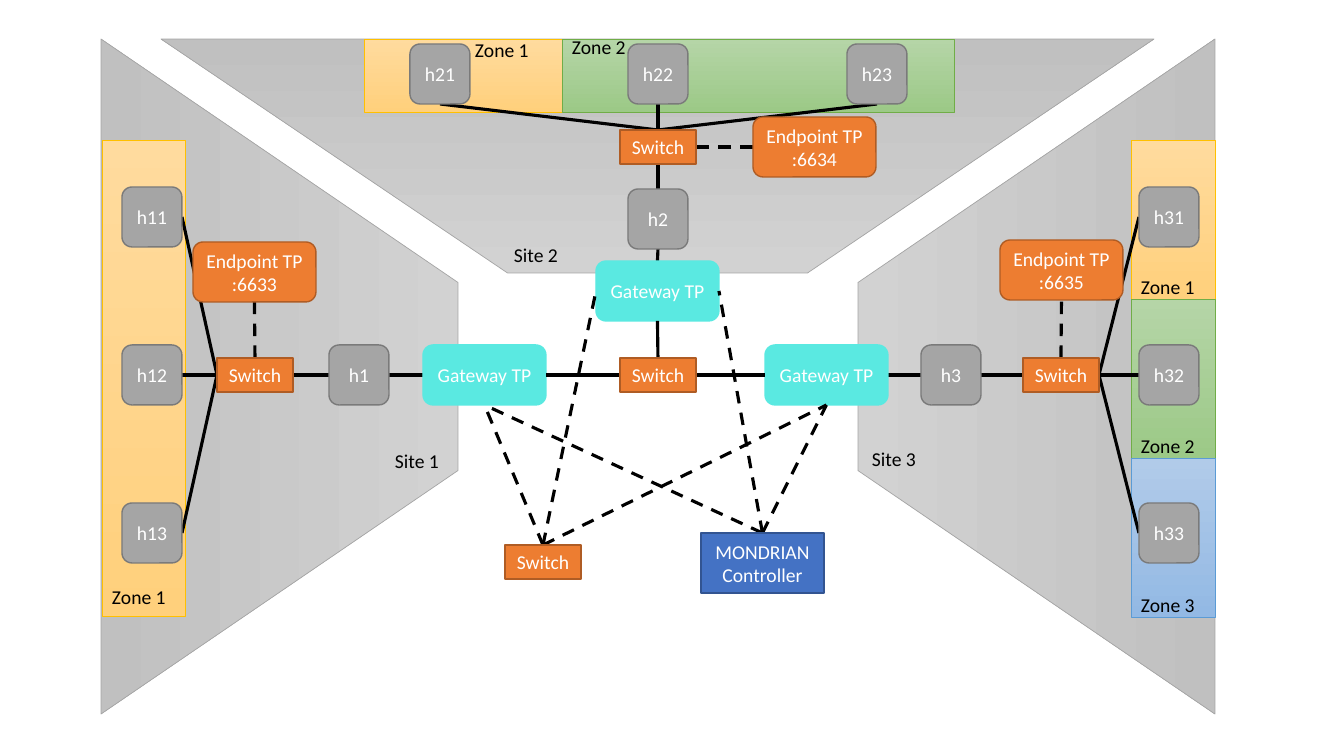
from pptx import Presentation
from pptx.dml.color import RGBColor as Rgb
from pptx.enum.dml import MSO_LINE as Dash
from pptx.enum.shapes import MSO_CONNECTOR as Conn, MSO_SHAPE as Kind
from pptx.enum.text import MSO_ANCHOR as Anchor, PP_ALIGN as Align
from pptx.oxml.ns import qn
from pptx.util import Pt
from lxml.etree import SubElement

UNIT = 914400 / 100.8
HUES = {"black": "000000", "white": "FFFFFF"}
# fill and line of each plain node, with its shape and size
NODES = {
    "host": ("A5A5A5", "7A7A7A", Kind.ROUNDED_RECTANGLE, 60, 60),
    "gate": ("5AE9E1", "5AE9E1", Kind.ROUNDED_RECTANGLE, 123, 60),
    "end": ("ED7D31", "AF5C24", Kind.ROUNDED_RECTANGLE, 123, 60),
    "switch": ("ED7D31", "AF5C24", Kind.RECTANGLE, 76, 34),
    "ctrl": ("4472C4", "325491", Kind.RECTANGLE, 123, 60),
}
# first stop, last stop and line of each shaded area
SHADES = {
    "grey": ("D2D2D2", "C0C0C0", "A5A5A5"),
    "gold": ("FFDB9E", "FFD07C", "FFC000"),
    "green": ("B5D5A7", "9CC987", "70AD47"),
    "blue": ("B1CBE9", "93B9E4", "5B9BD5"),
}
LEFT, RIGHT, TOP, LOW = (0, .5), (1, .5), (.5, 0), (.5, 1)

deck = Presentation()
deck.slide_width, deck.slide_height = round(1344 * UNIT), round(756 * UNIT)
shapes = deck.slides.add_slide(deck.slide_layouts[6]).shapes


def px(*vals):
    """Turn pixels into EMU."""
    return [round(v * UNIT) for v in vals]


def at(box, side):
    """Give the point of a box at a share of its width and height."""
    x, y, w, h = box
    return x + w * side[0], y + h * side[1]


def spot(kind, x, y):
    """Give the box of a node kind from its top left corner."""
    return (x, y, *NODES[kind][3:])


def write(shape, text, hue, align, **form):
    """Write text in a shape with the given frame values."""
    frame = shape.text_frame
    frame.text = text
    for name, val in form.items():
        setattr(frame, name, px(val)[0] if name.startswith("margin") else val)
    for para in frame.paragraphs:
        para.alignment = align
        for name, val in {"size": Pt(14), "name": "Calibri"}.items():
            setattr(para.font, name, val)
            setattr(para.runs[0].font, name, val)
        para.runs[0].font.color.rgb = Rgb.from_string(HUES[hue])


def node(kind, box, text):
    """Draw a plain node with centred white text."""
    fill, edge, form = NODES[kind][:3]
    shape = shapes.add_shape(form, *px(*box))
    shape.shadow.inherit = False
    shape.fill.solid()
    shape.fill.fore_color.rgb = Rgb.from_string(fill)
    shape.line.color.rgb = Rgb.from_string(edge)
    shape.line.width = Pt(1)
    write(shape, text, "white", Align.CENTER, word_wrap=True,
          vertical_anchor=Anchor.MIDDLE, margin_left=4, margin_right=4)


def area(form, box, shade):
    """Draw a shaded area, light at its top."""
    first, last, edge = SHADES[shade]
    shape = shapes.add_shape(form, *px(*box))
    shape.shadow.inherit = False
    shape.fill.gradient()
    shape.fill.gradient_angle = 270
    for stop, hue in zip(shape.fill.gradient_stops, (first, last)):
        stop.color.rgb = Rgb.from_string(hue)
    shape.line.color.rgb = Rgb.from_string(edge)
    shape.line.width = Pt(.5)
    return shape


def panel(box, turn, slant):
    """Draw a site's trapezoid so that it fills the box once turned."""
    x, y, w, h = box
    if turn % 180:
        x, y, w, h = x + (w - h) / 2, y + (h - w) / 2, h, w
    shape = area(Kind.TRAPEZOID, (x, y, w, h), "grey")
    shape.rotation = turn
    shape.adjustments[0] = slant


def zone(box, shade, text, **form):
    """Draw a zone with its label."""
    base = {"word_wrap": True, "margin_left": 10, "margin_right": 0}
    write(area(Kind.RECTANGLE, box, shade), text, "black", Align.LEFT, **{**base, **form})


def link(start, end, dash=False):
    """Draw a solid or dashed line between two points."""
    line = shapes.add_connector(Conn.STRAIGHT, *px(*start, *end))
    line.line.color.rgb = Rgb.from_string(HUES["black"])
    line.line.width = Pt(2.25)
    if dash:
        line.line.dash_style = Dash.DASH
    SubElement(line._element.spPr, qn("a:effectLst"))


def label(x, y, text):
    """Write a site's name."""
    box = shapes.add_textbox(*px(x, y, 64, 34))
    write(box, text, "black", Align.LEFT, word_wrap=False)


def flank(box, num, outer, inner, cols, rise):
    """Draw the nodes of a left or right site and return its gateway."""
    x, y = box[:2]
    far, mid, near, gate, end = (x + col for col in cols)
    hosts = [spot("host", far, y + 148 + 158 * i) for i in range(3)]
    hub = spot("switch", mid, y + 319)
    host = spot("host", near, y + 306)
    door = spot("gate", gate, y + 306)
    point = spot("end", end, y + rise)
    for item in hosts:
        link(at(hub, outer), at(item, inner))
    link(at(hub, inner), at(host, outer))
    link(at(host, inner), at(door, outer))
    link(at(hub, TOP), at(point, LOW), True)
    for i, item in enumerate(hosts, 1):
        node("host", item, f"h{num}{i}")
    node("switch", hub, "Switch")
    node("host", host, f"h{num}")
    node("gate", door, "Gateway TP")
    node("end", point, f"Endpoint TP\n:663{num + 2}")
    return door


def upper(box):
    """Draw the nodes of the top site and return its gateway."""
    x, y = box[:2]
    hosts = [spot("host", x + col, y + 5) for col in (249, 467, 686)]
    hub = spot("switch", x + 459, y + 91)
    host = spot("host", x + 467, y + 150)
    door = spot("gate", x + 435, y + 222)
    point = spot("end", x + 592, y + 78)
    for item in hosts:
        link(at(item, LOW), at(hub, TOP))
    link(at(hub, LOW), at(host, TOP))
    link(at(host, LOW), at(door, TOP))
    link(at(point, LEFT), at(hub, RIGHT), True)
    for i, item in enumerate(hosts, 1):
        node("host", item, f"h2{i}")
    node("switch", hub, "Switch")
    node("host", host, "h2")
    node("gate", door, "Gateway TP")
    node("end", point, "Endpoint TP\n:6634")
    return door


def core(box, west, north, east):
    """Join the three gateways to the middle switch and the controllers."""
    x, y = box[:2]
    hub = spot("switch", x + 115, y)
    spare = spot("switch", x, y + 187)
    ctrl = spot("ctrl", x + 196, y + 175)
    for door, out, side in ((west, RIGHT, LEFT), (north, LOW, TOP), (east, LEFT, RIGHT)):
        link(at(door, out), at(hub, side))
    for item, side in ((spare, LEFT), (ctrl, RIGHT)):
        for end in (at(west, LOW), at(north, side), at(east, LOW)):
            link(at(item, TOP), end, True)
    node("switch", hub, "Switch")
    node("switch", spare, "Switch")
    node("ctrl", ctrl, "MONDRIAN Controller")


one, two, three = (101, 39, 357, 675), (161, 39, 993, 234), (858, 39, 357, 675)
panel(one, 90, .682)
panel(two, 180, 1.481)
panel(three, 270, .682)

low = {"vertical_anchor": Anchor.BOTTOM, "margin_bottom": 1}
high = {"vertical_anchor": Anchor.TOP, "margin_top": -1}
zone((102, 140, 83, 476), "gold", "Zone 1", **{**low, "margin_bottom": 8})
zone((364, 39, 198, 73), "gold", "Zone 1", **{**high, "margin_left": 111})
zone((562, 39, 392, 73), "green", "Zone 2", **{**high, "margin_top": -4})
for i, shade in enumerate(("gold", "green", "blue")):
    zone((1131, 140 + 159 * i, 84, 159), shade, f"Zone {i + 1}", **low)

west = flank(one, 1, LEFT, RIGHT, (21, 116, 228, 322, 92), 203)
north = upper(two)
east = flank(three, 3, RIGHT, LEFT, (281, 165, 63, -93, 142), 201)
core((505, 358, 319, 235), west, north, east)
label(385, 444, "Site 1")
label(504, 238, "Site 2")
label(862, 442, "Site 3")
deck.save("out.pptx")
